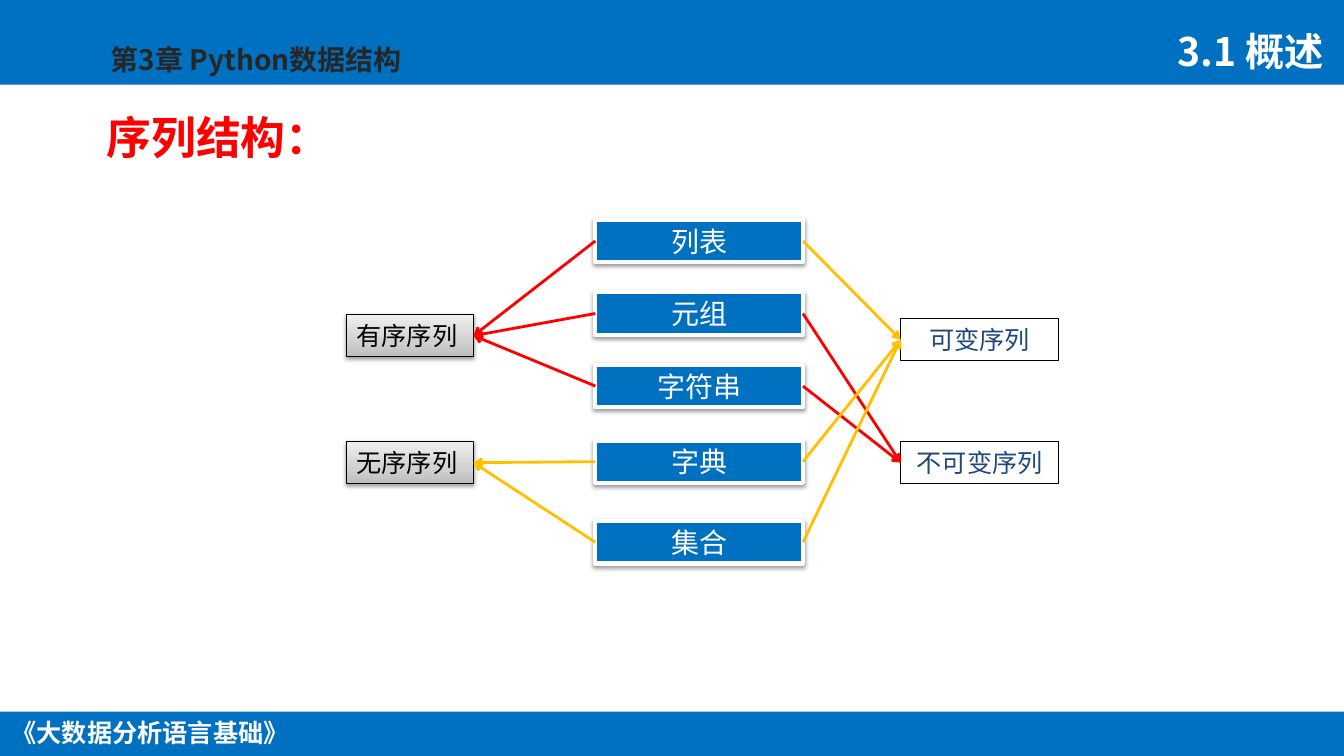
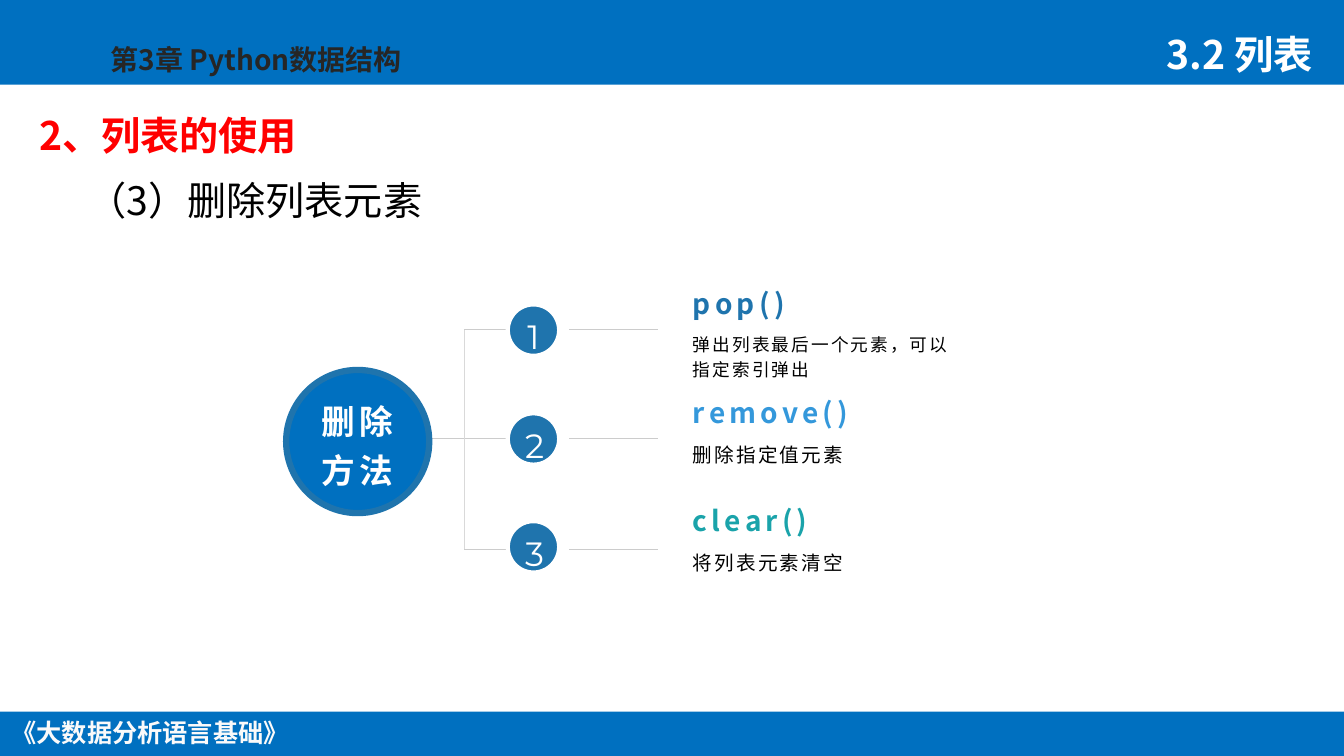
from lxml import etree
from pptx import Presentation
from pptx.dml.color import RGBColor
from pptx.enum.shapes import MSO_CONNECTOR, MSO_SHAPE
from pptx.enum.text import MSO_ANCHOR, MSO_AUTO_SIZE, PP_ALIGN
from pptx.oxml import parse_xml
from pptx.oxml.ns import nsdecls, qn
from pptx.util import Pt

PX = 9144  # EMU, 100 px to the inch
WIDTH, HEIGHT = 1334, 750
TITLE_ONLY = 5
TOP, LEFT, BOTTOM, RIGHT = range(4)  # connection sites of a rectangle

RECT, OVAL = MSO_SHAPE.RECTANGLE, MSO_SHAPE.OVAL
STRAIGHT = MSO_CONNECTOR.STRAIGHT
A_TOP, A_MIDDLE, A_BOTTOM = MSO_ANCHOR.TOP, MSO_ANCHOR.MIDDLE, MSO_ANCHOR.BOTTOM
AL_LEFT, AL_CENTER, AL_RIGHT = PP_ALIGN.LEFT, PP_ALIGN.CENTER, PP_ALIGN.RIGHT
AL_JUSTIFY = PP_ALIGN.JUSTIFY

SANS, DIGITS = "Noto Sans CJK SC", "Montserrat"
BLUE = RGBColor(0x00, 0x70, 0xC0)
STEEL = RGBColor(0x1F, 0x74, 0xAD)
SKY = RGBColor(0x34, 0x98, 0xDB)
TEAL = RGBColor(0x1A, 0xA3, 0xAA)
NAVY = RGBColor(0x1F, 0x49, 0x7D)
RED = RGBColor(0xFF, 0x00, 0x00)
AMBER = RGBColor(0xFF, 0xC0, 0x00)
BLACK = RGBColor(0x00, 0x00, 0x00)
INK = RGBColor(0x26, 0x26, 0x26)
RULE = RGBColor(0xCC, 0xCC, 0xCC)
TRUNK = RGBColor(0xD9, 0xD9, 0xD9)
PALE = RGBColor(0xFA, 0xFA, 0xFA)
WHITE = RGBColor(0xFF, 0xFF, 0xFF)

GRADIENT = (
    f'<a:gradFill {nsdecls("a")} rotWithShape="1"><a:gsLst>'
    '<a:gs pos="0"><a:srgbClr val="BDBDBD"/></a:gs>'
    '<a:gs pos="35000"><a:srgbClr val="D1D1D1"/></a:gs>'
    '<a:gs pos="100000"><a:srgbClr val="EEEEEE"/></a:gs>'
    '</a:gsLst><a:lin ang="16200000" scaled="1"/></a:gradFill>')
SHADOW = (
    f'<a:outerShdw {nsdecls("a")} blurRad="39370" dist="20320" dir="5400000" '
    'rotWithShape="0"><a:srgbClr val="000000"><a:alpha val="38000"/>'
    '</a:srgbClr></a:outerShdw>')


# ---- Helpers ----
def emu(*lengths):
    return [n * PX for n in lengths]


def write(sp, lines, size, color, bold=False, font=SANS, align=AL_LEFT,
          anchor=A_TOP, spacing=None, track=0, wrap=True):
    tf = sp.text_frame
    frame_format = {"auto_size": MSO_AUTO_SIZE.NONE, "word_wrap": wrap,
                    "vertical_anchor": anchor}
    for name, value in frame_format.items():
        setattr(tf, name, value)
    for i, line in enumerate(lines):
        p = tf.add_paragraph() if i else tf.paragraphs[0]
        p.alignment, p.line_spacing = align, spacing
        r = p.add_run()
        r.text = line
        font_format = {"size": Pt(size), "bold": bold, "name": font}
        for name, value in font_format.items():
            setattr(r.font, name, value)
        r.font.color.rgb = color
        rPr = r._r.get_or_add_rPr()
        etree.SubElement(rPr, qn("a:ea")).set("typeface", font)
        if track:
            rPr.set("spc", str(track))


def add_text(s, box, lines, size, color, **fmt):
    sp = s.shapes.add_textbox(*emu(*box))
    write(sp, lines, size, color, **fmt)
    return sp


def add_box(s, kind, box, fill=None, line=None, weight=0, shadow=False):
    """Shape with a solid fill, or the grey gradient when no fill is given."""
    sp = s.shapes.add_shape(kind, *emu(*box))
    sp.shadow.inherit = False
    spPr = sp._element.spPr
    if fill is None:
        sp.fill.background()
        spPr.replace(spPr.find(qn("a:noFill")), parse_xml(GRADIENT))
    else:
        sp.fill.solid()
        sp.fill.fore_color.rgb = fill
    if line is None:
        sp.line.fill.background()
    else:
        sp.line.color.rgb = line
        sp.line.width = Pt(weight)
    if shadow:
        spPr.find(qn("a:effectLst")).append(parse_xml(SHADOW))
    return sp


def add_line(s, ends, color, weight):
    cn = s.shapes.add_connector(STRAIGHT, *emu(*ends))
    cn.line.color.rgb = color
    cn.line.width = Pt(weight)
    etree.SubElement(cn._element.spPr, qn("a:effectLst"))
    return cn


def add_arrow(s, start, start_site, end, end_site, color):
    cn = add_line(s, (0, 0, 1, 1), color, 2)
    cn.begin_connect(start, start_site)
    cn.end_connect(end, end_site)
    etree.SubElement(cn.line._get_or_add_ln(), qn("a:tailEnd")).set("type", "arrow")


# ---- Shared frame ----
def add_frame(s):
    """Draws bands, footer and chapter name, and hands them to the layout."""
    parts = [
        add_box(s, RECT, (0, 0, WIDTH, 84), BLUE),
        add_box(s, RECT, (0, 706, WIDTH, HEIGHT - 706), BLUE),
        add_text(s, (0, 707, 298, 40), ["《大数据分析语言基础》"], 18, PALE,
                 bold=True, align=AL_CENTER, wrap=False),
        add_text(s, (100, 37, 378, 44), ["第3章 Python数据结构"], 20, INK, bold=True),
    ]
    for sp in parts:
        s.slide_layout.shapes._spTree.append(sp._element)


def add_title(s, box, text):
    title = s.shapes.title
    title.left, title.top, title.width, title.height = emu(*box)
    write(title, [text], 28, WHITE, bold=True, align=AL_RIGHT, anchor=A_BOTTOM,
          spacing=0.9)


# ---- Slide 1: sequence types ----
def sequence_diagram(s, x, y):
    ordered, unordered = [add_box(s, RECT, (x, y + dy, 126, 42), None, BLACK, 0.75, True)
                          for dy in (94, 220)]
    types = [add_box(s, RECT, (x + 247, y + dy, 206, 42), BLUE, WHITE, 3, True)
             for dy in (0, 72, 144, 219, 299)]
    mutable, immutable = [add_box(s, RECT, (x + 550, y + dy, 157, 42), WHITE, BLACK, 0.5)
                          for dy in (98, 220)]

    for sp, text in ((ordered, "有序序列"), (unordered, "无序序列")):
        write(sp, [text], 18, BLACK, align=AL_JUSTIFY, anchor=A_MIDDLE)
    for sp, text in zip(types, ("列表", "元组", "字符串", "字典", "集合")):
        write(sp, [text], 20, WHITE, align=AL_CENTER, anchor=A_MIDDLE)
    for sp, text in ((mutable, "可变序列"), (immutable, "不可变序列")):
        write(sp, [text], 18, NAVY, align=AL_CENTER, anchor=A_MIDDLE)

    # Arrows from each type to its two classes
    for i, sp in enumerate(types):
        order, order_color = (ordered, RED) if i < 3 else (unordered, AMBER)
        change, change_color = (immutable, RED) if i in (1, 2) else (mutable, AMBER)
        add_arrow(s, sp, RIGHT, change, LEFT, change_color)
        add_arrow(s, sp, LEFT, order, RIGHT, order_color)


def overview_slide(s):
    add_title(s, (1107, 13, 217, 66), "3.1 概述")
    add_text(s, (96, 104, 787, 64), ["序列结构："], 32, RED, bold=True)
    sequence_diagram(s, 344, 218)


# ---- Slide 2: deleting list elements ----
METHODS = [  # name, colour, description, size, top, line height
    ("pop()", STEEL, ["弹出列表最后一个元素，可以", "指定索引弹出"], 12.6, 0, 53),
    ("remove()", SKY, ["删除指定值元素"], 14, 108, 161),
    ("clear()", TEAL, ["将列表元素清空"], 14, 215, 271),
]


def method_row(s, x, y, line_y, number, name, color, lines, size):
    add_line(s, (x, line_y, x + 72, line_y), RULE, 0.5)
    add_line(s, (x + 104, line_y, x + 192, line_y), RULE, 0.5)
    dot = add_box(s, OVAL, (x + 43, y + 28, 51, 51), STEEL, WHITE, 3)
    write(dot, [str(number)], 24, WHITE, font=DIGITS, align=AL_CENTER,
          anchor=A_MIDDLE, spacing=1.3)
    label = add_text(s, (x + 217, y, 289, 44), [name], 20, color, bold=True,
                     anchor=A_BOTTOM, spacing=1.2, track=300)
    label.text_frame.margin_bottom = 0
    add_text(s, (x + 217, y + 48, 290, 63), lines, size, BLACK, spacing=1.2, track=150)


def method_tree(s, x, y):
    # Hub
    add_line(s, (x + 163, y + 161, x + 195, y + 161), RULE, 0.5)
    add_box(s, OVAL, (x + 18, y + 93, 142, 142), BLUE, STEEL, 4.5)
    add_text(s, (x, y + 111, 177, 104), ["删除", "方法"], 24, WHITE, bold=True,
             align=AL_CENTER, spacing=1.2, track=300)
    # Branches
    for number, (name, color, lines, size, top, line_y) in enumerate(METHODS, 1):
        method_row(s, x + 195, y + top, y + line_y, number, name, color, lines, size)
    add_line(s, (x + 195, y + 53, x + 195, y + 271), TRUNK, 0.5)


def delete_slide(s):
    add_title(s, (1117, 8, 196, 74), "3.2 列表")
    for box, text, color, bold in (
            ((29, 115, 836, 48), "2、列表的使用", RED, True),
            ((77, 179, 836, 48), "（3）删除列表元素", BLACK, False)):
        add_text(s, box, [text], 28, color, bold=bold, anchor=A_BOTTOM, spacing=0.9)
    method_tree(s, 266, 274)


def main():
    prs = Presentation()
    prs.slide_width, prs.slide_height = emu(WIDTH, HEIGHT)
    layout = prs.slide_layouts[TITLE_ONLY]
    overview, delete = [prs.slides.add_slide(layout) for _ in range(2)]
    add_frame(overview)
    overview_slide(overview)
    delete_slide(delete)
    prs.save("out.pptx")


if __name__ == "__main__":
    main()
